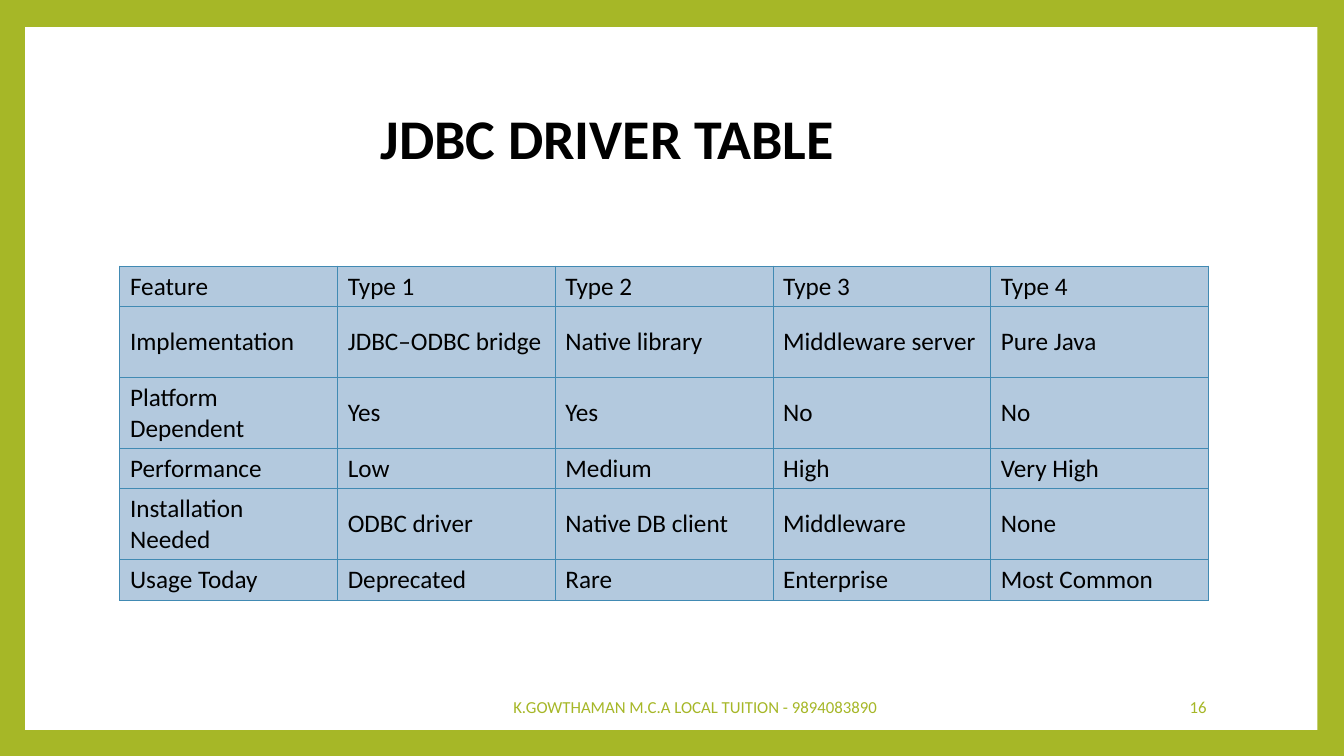
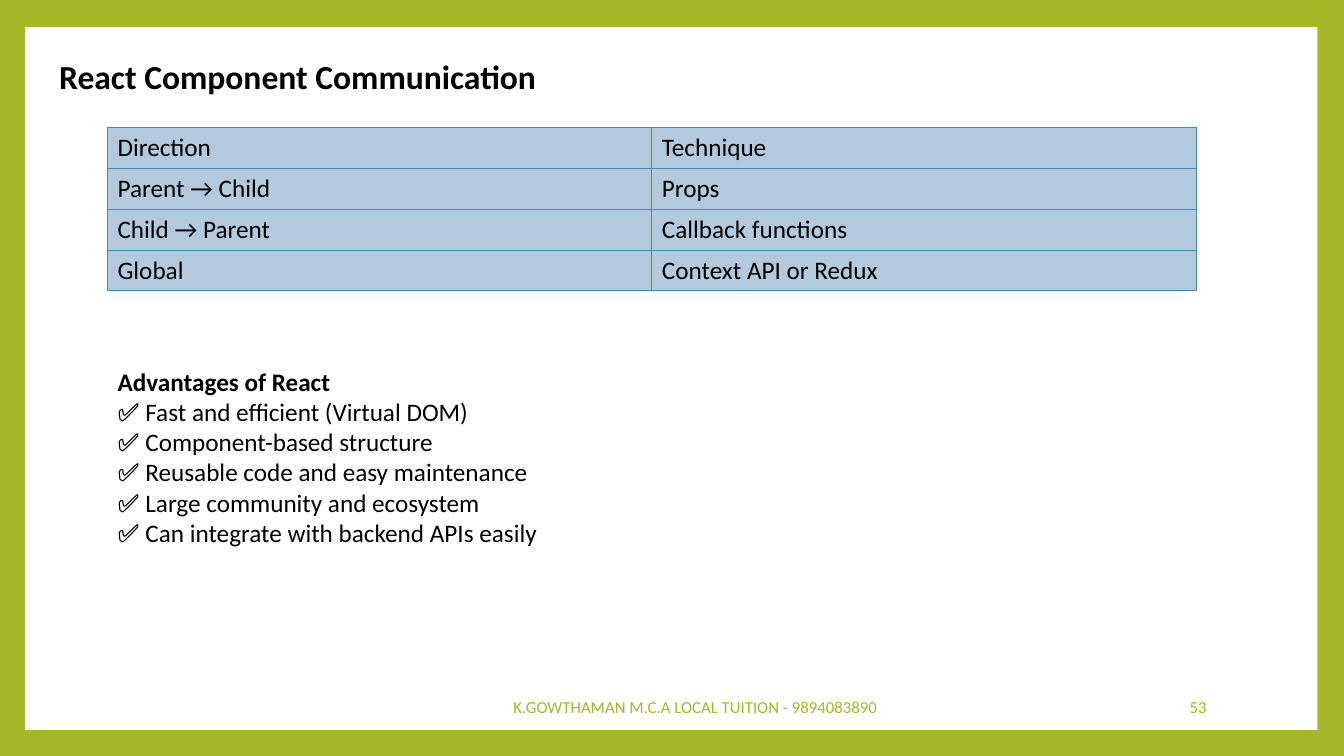
from dataclasses import dataclass

from lxml.etree import SubElement
from pptx import Presentation
from pptx.dml.color import RGBColor
from pptx.enum.shapes import MSO_SHAPE
from pptx.enum.text import MSO_ANCHOR, MSO_AUTO_SIZE, PP_ALIGN
from pptx.oxml.ns import qn
from pptx.slide import Slide
from pptx.text.text import TextFrame
from pptx.util import Pt

GREEN = RGBColor(0xA6, 0xB7, 0x27)
WHITE = RGBColor(0xFF, 0xFF, 0xFF)
BLACK = RGBColor(0, 0, 0)
BLUE = RGBColor(0x41, 0x8A, 0xB3)
PALE = RGBColor(0xB3, 0xC9, 0xDE)
FONT = "Calibri"
FOOTER = "K.GOWTHAMAN M.C.A LOCAL TUITION - 9894083890"
WIDTH = 777.6
LOW, TALL = 29.2, 50.4


@dataclass(frozen=True)
class Box:
    left: float
    top: float
    width: float
    height: float

    def place(self) -> tuple[Pt, Pt, Pt, Pt]:
        return Pt(self.left), Pt(self.top), Pt(self.width), Pt(self.height)


@dataclass(frozen=True)
class Title:
    text: str
    box: Box
    size: float


@dataclass(frozen=True)
class Grid:
    left: float
    top: float
    rows: list[list[str]]
    heights: list[float]


PANEL = Box(18, 19.3, 923, 502)
FOOT = Box(311, 490.3, 371.5, 28.8)
NUMBER = Box(734.4, 490.3, 134.6, 28.8)

DRIVERS = Grid(85.7, 190, [
    ["Feature", "Type 1", "Type 2", "Type 3", "Type 4"],
    ["Implementation", "JDBC–ODBC bridge", "Native library", "Middleware server", "Pure Java"],
    ["Platform Dependent", "Yes", "Yes", "No", "No"],
    ["Performance", "Low", "Medium", "High", "Very High"],
    ["Installation Needed", "ODBC driver", "Native DB client", "Middleware", "None"],
    ["Usage Today", "Deprecated", "Rare", "Enterprise", "Most Common"],
], [LOW, TALL, TALL, LOW, TALL, LOW])

ROUTES = Grid(76.8, 91, [
    ["Direction", "Technique"],
    ["Parent → Child", "Props"],
    ["Child → Parent", "Callback functions"],
    ["Global", "Context API or Redux"],
], [LOW] * 4)

GAINS = [
    "Advantages of React",
    "✅ Fast and efficient (Virtual DOM)",
    "✅ Component-based structure",
    "✅ Reusable code and easy maintenance",
    "✅ Large community and ecosystem",
    "✅ Can integrate with backend APIs easily",
]


def fill_text(frame: TextFrame, text: str, size: float, color: RGBColor = BLACK,
              bold: bool = False, align: PP_ALIGN = PP_ALIGN.LEFT) -> None:
    frame.text = text
    for para in frame.paragraphs:
        para.alignment = align
        for run in para.runs:
            run.font.name = FONT
            run.font.size = Pt(size)
            run.font.bold = bold
            run.font.color.rgb = color


def add_text(slide: Slide, box: Box, text: str, size: float, color: RGBColor = BLACK,
             align: PP_ALIGN = PP_ALIGN.LEFT,
             anchor: MSO_ANCHOR = MSO_ANCHOR.TOP) -> TextFrame:
    frame = slide.shapes.add_textbox(*box.place()).text_frame
    frame.word_wrap = True
    frame.vertical_anchor = anchor
    fill_text(frame, text, size, color, align=align)
    return frame


def add_page(deck: Presentation, title: Title, number: int) -> Slide:
    slide = deck.slides.add_slide(deck.slide_layouts[5])
    panel = slide.shapes.add_shape(MSO_SHAPE.RECTANGLE, *PANEL.place())
    panel.shadow.inherit = False
    panel.fill.solid()
    panel.fill.fore_color.rgb = WHITE
    panel.line.fill.background()
    head = slide.shapes.title
    head._element.addprevious(panel._element)
    head.left, head.top, head.width, head.height = title.box.place()
    frame = head.text_frame
    frame.word_wrap = False
    frame.auto_size = MSO_AUTO_SIZE.SHAPE_TO_FIT_TEXT
    frame.vertical_anchor = MSO_ANCHOR.TOP
    fill_text(frame, title.text, title.size, bold=True)
    add_text(slide, FOOT, FOOTER, 12, GREEN, PP_ALIGN.CENTER, MSO_ANCHOR.MIDDLE)
    add_text(slide, NUMBER, str(number), 12, GREEN, PP_ALIGN.RIGHT, MSO_ANCHOR.MIDDLE)
    return slide


def add_grid(slide: Slide, grid: Grid) -> None:
    count = len(grid.rows[0])
    box = Box(grid.left, grid.top, WIDTH, sum(grid.heights))
    table = slide.shapes.add_table(len(grid.rows), count, *box.place()).table
    table.first_row = False
    table.horz_banding = False
    for column in table.columns:
        column.width = Pt(WIDTH / count)
    for row, height, words in zip(table.rows, grid.heights, grid.rows):
        row.height = Pt(height)
        for cell, word in zip(row.cells, words):
            fill_text(cell.text_frame, word, 18)
            cell.vertical_anchor = MSO_ANCHOR.MIDDLE
            props = cell._tc.get_or_add_tcPr()
            for side in ("a:lnL", "a:lnR", "a:lnT", "a:lnB"):
                line = SubElement(props, qn(side), w=str(Pt(0.79)))
                solid = SubElement(line, qn("a:solidFill"))
                SubElement(solid, qn("a:srgbClr"), val=str(BLUE))
            cell.fill.solid()
            cell.fill.fore_color.rgb = PALE


def main() -> None:
    deck = Presentation()
    deck.slide_width, deck.slide_height = Pt(960), Pt(540)
    back = deck.slide_master.background.fill
    back.solid()
    back.fore_color.rgb = GREEN

    slide = add_page(deck, Title("JDBC DRIVER TABLE", Box(264.7, 70.6, 376.6, 55.4), 40), 16)
    add_grid(slide, DRIVERS)

    slide = add_page(
        deck, Title("React Component Communication", Box(35, 36, 373, 36), 24), 53)
    add_grid(slide, ROUTES)
    frame = add_text(slide, Box(77, 257.8, 480, 138), "\n".join(GAINS), 18)
    frame.auto_size = MSO_AUTO_SIZE.SHAPE_TO_FIT_TEXT
    frame.paragraphs[0].runs[0].font.bold = True

    deck.save("out.pptx")


if __name__ == "__main__":
    main()
